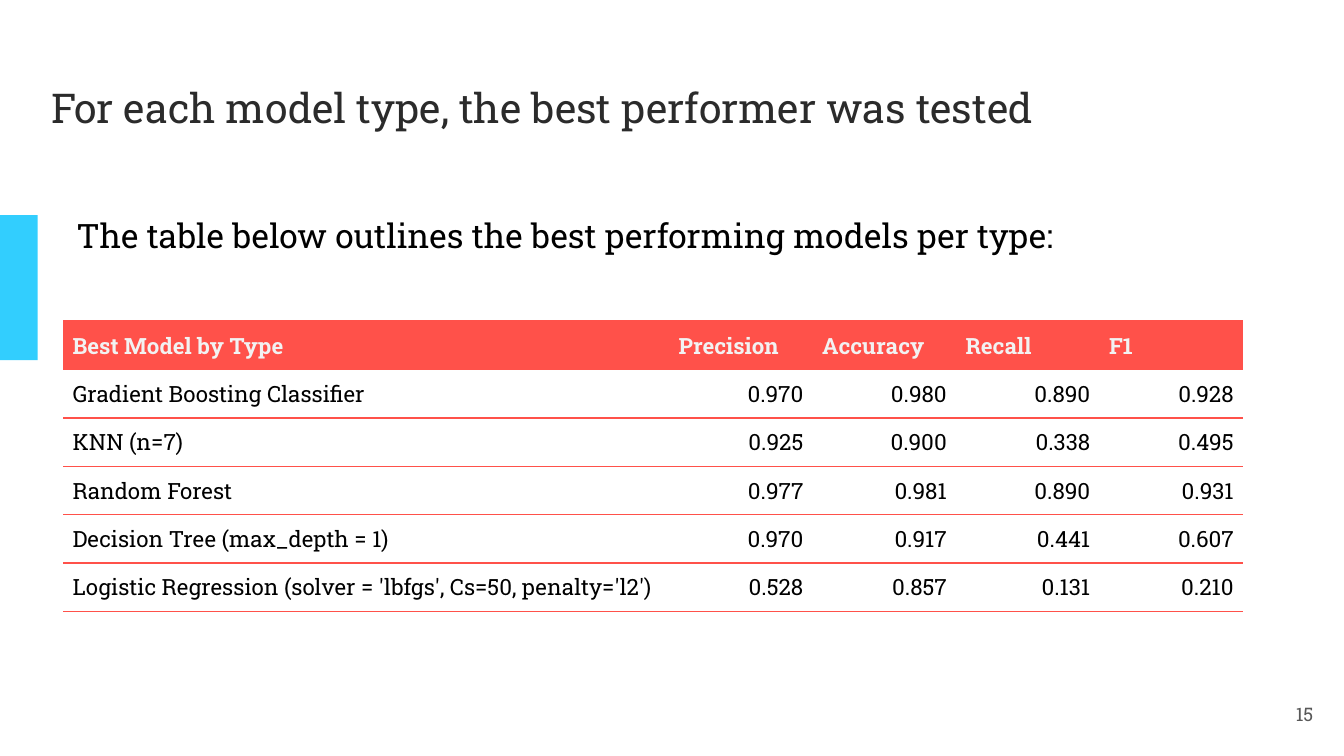
from lxml.etree import SubElement
from pptx import Presentation
from pptx.dml.color import RGBColor
from pptx.enum.shapes import MSO_SHAPE as Shape
from pptx.enum.text import MSO_ANCHOR as Anchor, MSO_AUTO_SIZE as AutoSize, PP_ALIGN as Align
from pptx.oxml.ns import qn
from pptx.util import Inches, Pt

COLORS = {"title": "2B2B2B", "body": "000000", "number": "595959",
          "accent": "32CEFE", "table": "FF514A", "header": "F2F2F2"}
HEADERS = ["Best Model by Type", "Precision", "Accuracy", "Recall", "F1"]
MODELS = [
    ["Gradient Boosting Classifier", "0.970", "0.980", "0.890", "0.928"],
    ["KNN (n=7)", "0.925", "0.900", "0.338", "0.495"],
    ["Random Forest", "0.977", "0.981", "0.890", "0.931"],
    ["Decision Tree (max_depth = 1)", "0.970", "0.917", "0.441", "0.607"],
    ["Logistic Regression (solver = 'lbfgs', Cs=50, penalty='l2')",
     "0.528", "0.857", "0.131", "0.210"],
]


def write(frame, text, size=12, color="body", font="Roboto Slab", bold=False,
          align=Align.LEFT):
    paragraph = frame.paragraphs[0]
    paragraph.alignment = align
    paragraph.space_before = Pt(0)
    run = paragraph.add_run()
    run.text = text
    run.font.name = font
    run.font.size = Pt(size)
    run.font.bold = bold
    run.font.color.rgb = RGBColor.from_string(COLORS[color])


class SlideBuilder:
    """Builds the elements of one slide in a shared style."""

    def __init__(self, slide, line_width=1, cell_margin=0.07):
        self.slide = slide
        self.line_width = line_width
        self.cell_margin = Inches(cell_margin)

    def text(self, holder, box, text, anchor=Anchor.TOP, top_inset=0.1, **style):
        holder.left, holder.top, holder.width, holder.height = map(Inches, box)
        frame = holder.text_frame
        frame.word_wrap = True
        frame.auto_size = AutoSize.NONE
        frame.vertical_anchor = anchor
        frame.margin_left = frame.margin_right = frame.margin_bottom = Inches(0.1)
        frame.margin_top = Inches(top_inset)
        write(frame, text, **style)

    def title(self, box, text, **style):
        self.text(self.slide.shapes.title, box, text, anchor=Anchor.BOTTOM, **style)

    def body(self, box, text, **style):
        statement = self.slide.placeholders[1]
        self.text(statement, box, text, top_inset=0, **style)
        properties = statement.text_frame.paragraphs[0]._p.get_or_add_pPr()
        properties.set("marL", "0")
        properties.set("indent", "0")
        SubElement(properties, qn("a:buNone"))

    def label(self, box, text, **style):
        holder = self.slide.shapes.add_textbox(*map(Inches, box))
        self.text(holder, box, text, anchor=Anchor.MIDDLE, **style)

    def bar(self, box, color):
        bar = self.slide.shapes.add_shape(Shape.RECTANGLE, *map(Inches, box))
        bar.shadow.inherit = False
        bar.fill.solid()
        bar.fill.fore_color.rgb = RGBColor.from_string(COLORS[color])
        bar.line.fill.background()

    def borders(self, cell):
        properties = cell._tc.get_or_add_tcPr()
        for side in "LRTB":
            line = SubElement(properties, qn(f"a:ln{side}"), w=str(Pt(self.line_width)))
            if side in "LR":
                SubElement(line, qn("a:noFill"))
            else:
                fill = SubElement(line, qn("a:solidFill"))
                SubElement(fill, qn("a:srgbClr"), val=COLORS["table"])

    def cell(self, cell, text, header, align):
        cell.margin_left = cell.margin_right = self.cell_margin
        cell.margin_top = cell.margin_bottom = self.cell_margin
        self.borders(cell)
        if header:
            cell.fill.solid()
            cell.fill.fore_color.rgb = RGBColor.from_string(COLORS["table"])
        else:
            cell.fill.background()
        write(cell.text_frame, text, color="header" if header else "body",
              bold=header, align=align)

    def table(self, left, top, width, name_width, row_height, rows):
        score_count = len(rows[0]) - 1
        widths = [name_width] + [(width - name_width) / score_count] * score_count
        scores = self.slide.shapes.add_table(
            len(rows), len(widths), Inches(left), Inches(top),
            Inches(width), Inches(row_height * len(rows))).table
        scores.first_row = scores.horz_banding = False
        for column, column_width in zip(scores.columns, widths):
            column.width = Inches(column_width)
        for r, values in enumerate(rows):
            scores.rows[r].height = Inches(row_height)
            for c, value in enumerate(values):
                align = Align.RIGHT if r and c else Align.LEFT
                self.cell(scores.cell(r, c), value, r == 0, align)


def main():
    deck = Presentation()
    deck.slide_width = Inches(10)
    deck.slide_height = deck.slide_width * 9 // 16
    builder = SlideBuilder(deck.slides.add_slide(deck.slide_layouts[1]))
    builder.title((0.28, 0, 9.72, 1.08),
                  "For each model type, the best performer was tested",
                  size=22, color="title")
    builder.body((0.47, 1.6, 8.78, 0.38),
                 "The table below outlines the best performing models per type:",
                 size=18)
    builder.label((9.27, 5.1, 0.6, 0.43), "15", size=10, color="number",
                  align=Align.RIGHT)
    builder.bar((0, 1.6, 0.28, 1.08), "accent")
    builder.table(0.47, 2.39, 8.78, 4.51, 0.36, [HEADERS] + MODELS)
    deck.save("out.pptx")


if __name__ == "__main__":
    main()
